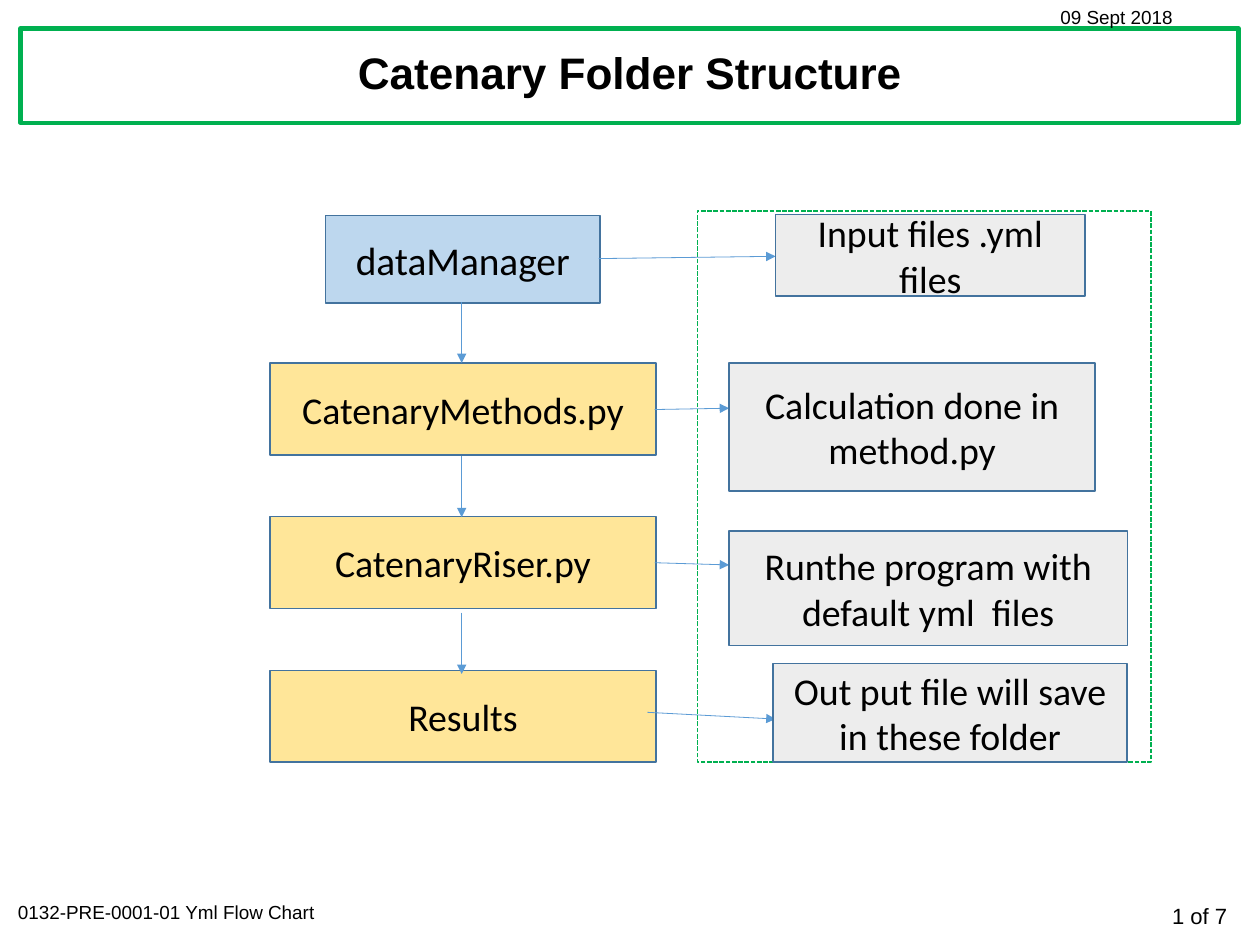
from lxml.etree import SubElement
from pptx import Presentation
from pptx.dml.color import RGBColor
from pptx.enum.dml import MSO_LINE
from pptx.enum.shapes import MSO_CONNECTOR, MSO_SHAPE
from pptx.enum.text import MSO_ANCHOR, MSO_AUTO_SIZE, PP_ALIGN
from pptx.oxml.ns import qn
from pptx.util import Cm, Pt

GREEN, BLUE, OUTLINE = "00B050", "5B9BD5", "43739E"
SKY, YELLOW, GREY = "BDD7EE", "FFE699", "EDEDED"


def rgb(code):
    return RGBColor.from_string(code)


class FlowSlide:
    """Draws flow chart elements on one slide in a shared style."""

    def __init__(self, prs):
        self.s = prs.slides.add_slide(prs.slide_layouts[5])

    def set_text(self, sp, text, size, font, align, anchor, bold=False):
        tf = sp.text_frame
        tf.text = text
        tf.word_wrap = True
        tf.auto_size = MSO_AUTO_SIZE.NONE
        tf.vertical_anchor = anchor
        p = tf.paragraphs[0]
        p.alignment = align
        r = p.runs[0]
        r.font.name, r.font.size, r.font.bold = font, Pt(size), bold
        r.font.color.rgb = rgb("000000")
        return p

    def outline(self, sp, color, width):
        sp.line.color.rgb = rgb(color)
        sp.line.width = Pt(width)

    def title(self, text, x, y, w, h):
        sp = self.s.shapes.title
        sp.left, sp.top, sp.width, sp.height = Cm(x), Cm(y), Cm(w), Cm(h)
        self.outline(sp, GREEN, 2.75)
        p = self.set_text(sp, text, 28, "Arial", PP_ALIGN.CENTER, MSO_ANCHOR.MIDDLE, True)
        p.line_spacing = 0.9

    def label(self, text, x, y, w, h, size=12, align=PP_ALIGN.LEFT):
        sp = self.s.shapes.add_textbox(Cm(x), Cm(y), Cm(w), Cm(h))
        self.set_text(sp, text, size, "Arial", align, MSO_ANCHOR.TOP)

    def rect(self, x, y, w, h, color):
        sp = self.s.shapes.add_shape(MSO_SHAPE.RECTANGLE, Cm(x), Cm(y), Cm(w), Cm(h))
        sp.shadow.inherit = False
        self.outline(sp, color, 1)
        return sp

    def box(self, text, x, y, w, h, fill, size=24):
        sp = self.rect(x, y, w, h, OUTLINE)
        sp.fill.solid()
        sp.fill.fore_color.rgb = rgb(fill)
        self.set_text(sp, text, size, "Calibri", PP_ALIGN.CENTER, MSO_ANCHOR.MIDDLE)

    def frame(self, x, y, w, h):
        sp = self.rect(x, y, w, h, GREEN)
        sp.fill.background()
        sp.line.dash_style = MSO_LINE.SQUARE_DOT

    def arrow(self, x1, y1, x2, y2):
        sp = self.s.shapes.add_connector(
            MSO_CONNECTOR.STRAIGHT, Cm(x1), Cm(y1), Cm(x2), Cm(y2))
        self.outline(sp, BLUE, 0.5)
        props = sp.element.spPr
        SubElement(props.get_or_add_ln(), qn("a:tailEnd"), type="triangle")
        SubElement(props, qn("a:effectLst"))


def main():
    prs = Presentation()
    prs.slide_width, prs.slide_height = Cm(28.22), Cm(21.16)
    slide = FlowSlide(prs)

    slide.title("Catenary Folder Structure", 0.46, 0.64, 27.28, 2.11)
    slide.label("09 Sept 2018", 23.5, 0, 4.27, 0.76)
    slide.label("0132-PRE-0001-01 Yml Flow Chart", 0.15, 20.04, 10.13, 0.76)
    slide.label("1 of 7", 23.88, 20.09, 3.86, 0.86, 14, PP_ALIGN.RIGHT)

    slide.box("dataManager", 7.29, 4.83, 6.15, 1.96, SKY, 25)
    steps = ["CatenaryMethods.py", "CatenaryRiser.py", "Results"]
    for i, step in enumerate(steps):
        slide.box(step, 6.05, 8.13 + 3.44 * i, 8.64, 2.06, YELLOW)
    for y in (6.76, 10.21, 13.72):
        slide.arrow(10.34, y, 10.34, y + 1.37)

    slide.frame(15.62, 4.72, 10.16, 12.34)
    notes = [
        ("Input files .yml files", (17.37, 4.8, 6.93, 1.83), (13.41, 5.79, 17.37, 5.74)),
        ("Calculation done in method.py", (16.33, 8.13, 8.2, 2.87), (14.66, 9.17, 16.33, 9.14)),
        ("Runthe program with default yml  files", (16.33, 11.89, 8.92, 2.57),
         (14.66, 12.6, 16.33, 12.65)),
        ("Out put file will save in these folder", (17.32, 14.86, 7.92, 2.21),
         (14.5, 15.95, 17.37, 16.1)),
    ]
    for text, place, link in notes:
        slide.arrow(*link)
        slide.box(text, *place, GREY)

    prs.save("out.pptx")


if __name__ == "__main__":
    main()
